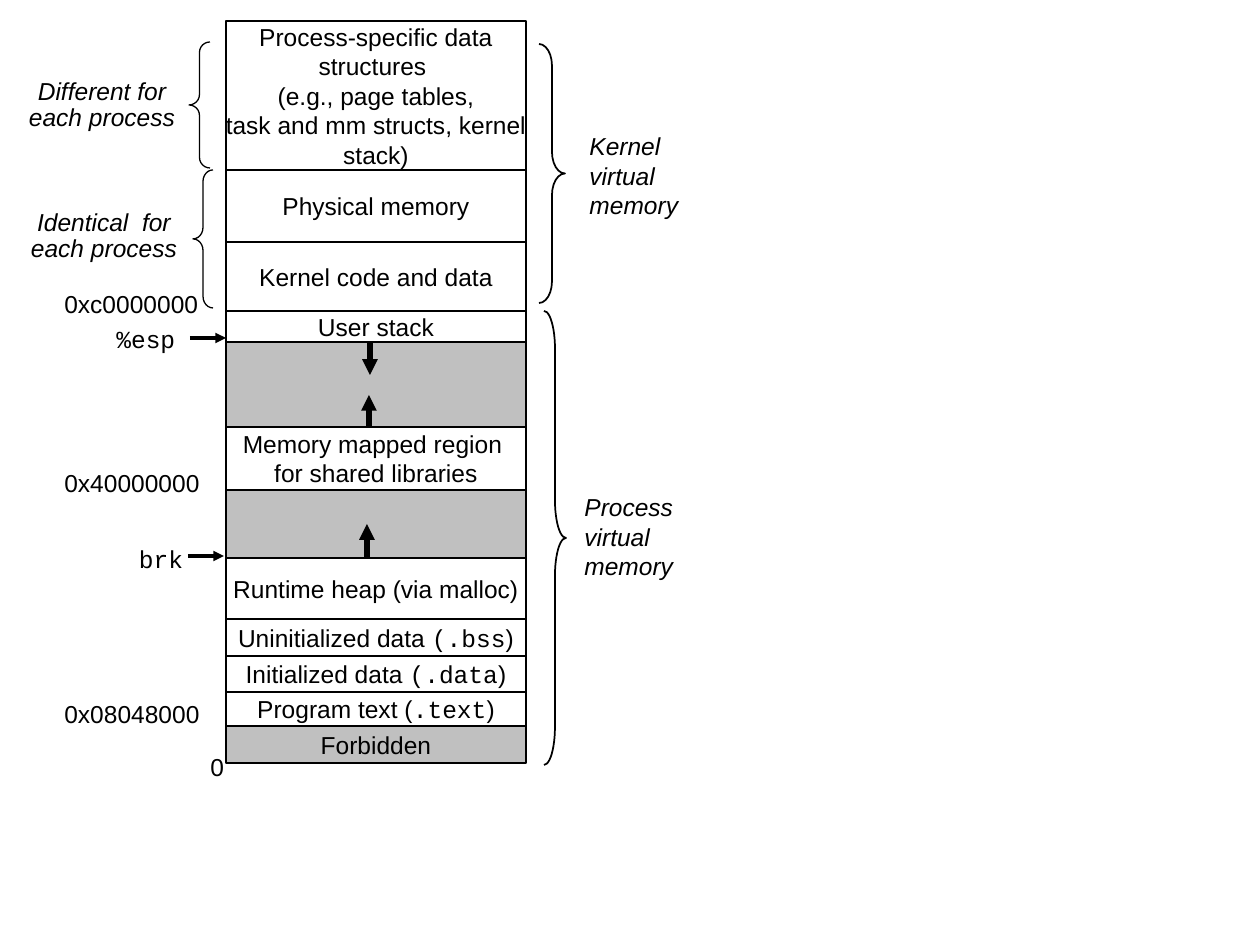
from lxml.etree import SubElement
from pptx import Presentation
from pptx.dml.color import RGBColor
from pptx.enum.shapes import MSO_CONNECTOR, MSO_SHAPE
from pptx.enum.text import MSO_ANCHOR, MSO_AUTO_SIZE, PP_ALIGN
from pptx.oxml.ns import qn
from pptx.util import Emu, Pt

PX = 7257.14  # EMU in one px, at 126 px to the inch
COLORS = {"ink": "000000", "paper": "FFFFFF", "gap": "C0C0C0"}
SANS, MONO = "Arial", "Courier New"

# Memory regions from the top down: top edge, fill, text (`...` is monospaced)
LEFT, WIDTH, BOTTOM = 226, 300, 763
REGIONS = [
    (21, "paper", "Process-specific data\nstructures \n(e.g., page tables,\n"
                  "task and mm structs, kernel\nstack)"),
    (170, "paper", "Physical memory"),
    (242, "paper", "Kernel code and data"),
    (311, "paper", "User stack"),
    (342, "gap", ""),
    (427, "paper", "Memory mapped region \nfor shared libraries"),
    (490, "gap", ""),
    (558, "paper", "Runtime heap (via malloc)"),
    (619, "paper", "Uninitialized data `(.bss`)"),
    (656, "paper", "Initialized data `(.data`)"),
    (692, "paper", "Program text (`.text`)"),
    (726, "gap", "Forbidden"),
]

# Labels: text, (left, top, width, height), format
TIGHT = {"space": 0.9}
SIDE = {"italic": True, "space": 0.9, "align": PP_ALIGN.CENTER, "wrap": True}
LABELS = [
    ("Different for each process", (10, 73, 184, 66), SIDE),
    ("Identical  for each process", (12, 204, 184, 66), SIDE),
    ("0xc0000000", (52, 286, 164, 39), TIGHT),
    ("0x40000000", (52, 465, 164, 39), TIGHT),
    ("0x08048000", (52, 696, 164, 39), TIGHT),
    ("0", (198, 746, 42, 43), {}),
    ("`%esp`", (104, 318, 88, 43), {}),
    ("`brk`", (125, 538, 72, 43), {"align": PP_ALIGN.CENTER}),
    ("Kernel\nvirtual\nmemory", (577, 125, 118, 101), {"italic": True}),
    ("Process\nvirtual\nmemory", (572, 486, 118, 101), {"italic": True}),
]

# Braces: shape, (left, top, width, height), line points
BRACES = [
    (MSO_SHAPE.LEFT_BRACE, (189, 42, 21, 126), 0.75),
    (MSO_SHAPE.LEFT_BRACE, (193, 170, 20, 138), 0.75),
    (MSO_SHAPE.RIGHT_BRACE, (539, 44, 26, 259), 1),
    (MSO_SHAPE.RIGHT_BRACE, (544, 311, 22, 454), 1),
]

# Arrows: (x1, y1, x2, y2), line points
ARROWS = [
    ((370, 343, 370, 375), 3),
    ((369, 427, 369, 395), 3),
    ((367, 557, 367, 524), 3),
    ((190, 338, 226, 338), 2),
    ((188, 556, 224, 556), 2),
]


def px(*nums):
    return [Emu(round(n * PX)) for n in nums]


def color(name):
    return RGBColor.from_string(COLORS[name])


def write(frame, text, align=PP_ALIGN.LEFT, italic=False, space=None, wrap=False):
    frame.word_wrap = wrap
    for i, line in enumerate(text.split("\n")):
        para = frame.add_paragraph() if i else frame.paragraphs[0]
        para.alignment = align
        if space:
            para.line_spacing = space
        for j, part in enumerate(line.split("`")):
            if part:
                run = para.add_run()
                run.text = part
                font = run.font
                font.name = MONO if j % 2 else SANS
                font.size = Pt(14)
                font.italic = italic
                font.color.rgb = color("ink")


def outline(line, points):
    line.color.rgb = color("ink")
    line.width = Pt(points)


def main():
    deck = Presentation()
    deck.slide_width, deck.slide_height = px(1260, 945)
    shapes = deck.slides.add_slide(deck.slide_layouts[6]).shapes

    # Memory column
    ends = [region[0] for region in REGIONS[1:]] + [BOTTOM]
    for (top, fill, text), end in zip(REGIONS, ends):
        box = shapes.add_shape(MSO_SHAPE.RECTANGLE, *px(LEFT, top, WIDTH, end - top))
        box.shadow.inherit = False
        box.fill.solid()
        box.fill.fore_color.rgb = color(fill)
        outline(box.line, 1)
        if text:
            box.text_frame.vertical_anchor = MSO_ANCHOR.MIDDLE
            write(box.text_frame, text, align=PP_ALIGN.CENTER)

    # Labels
    for text, place, style in LABELS:
        frame = shapes.add_textbox(*px(*place)).text_frame
        write(frame, text, **style)
        frame.auto_size = MSO_AUTO_SIZE.SHAPE_TO_FIT_TEXT

    # Braces, each curve a twelfth of the height
    for kind, place, points in BRACES:
        brace = shapes.add_shape(kind, *px(*place))
        brace.shadow.inherit = False
        brace.fill.background()
        outline(brace.line, points)
        brace.adjustments[0] = place[3] / 12 / place[2]

    # Arrows
    for place, points in ARROWS:
        arrow = shapes.add_connector(MSO_CONNECTOR.STRAIGHT, *px(*place))
        outline(arrow.line, points)
        SubElement(arrow.line._get_or_add_ln(), qn("a:tailEnd"), type="triangle")
        SubElement(arrow._element.spPr, qn("a:effectLst"))

    deck.save("out.pptx")


if __name__ == "__main__":
    main()
